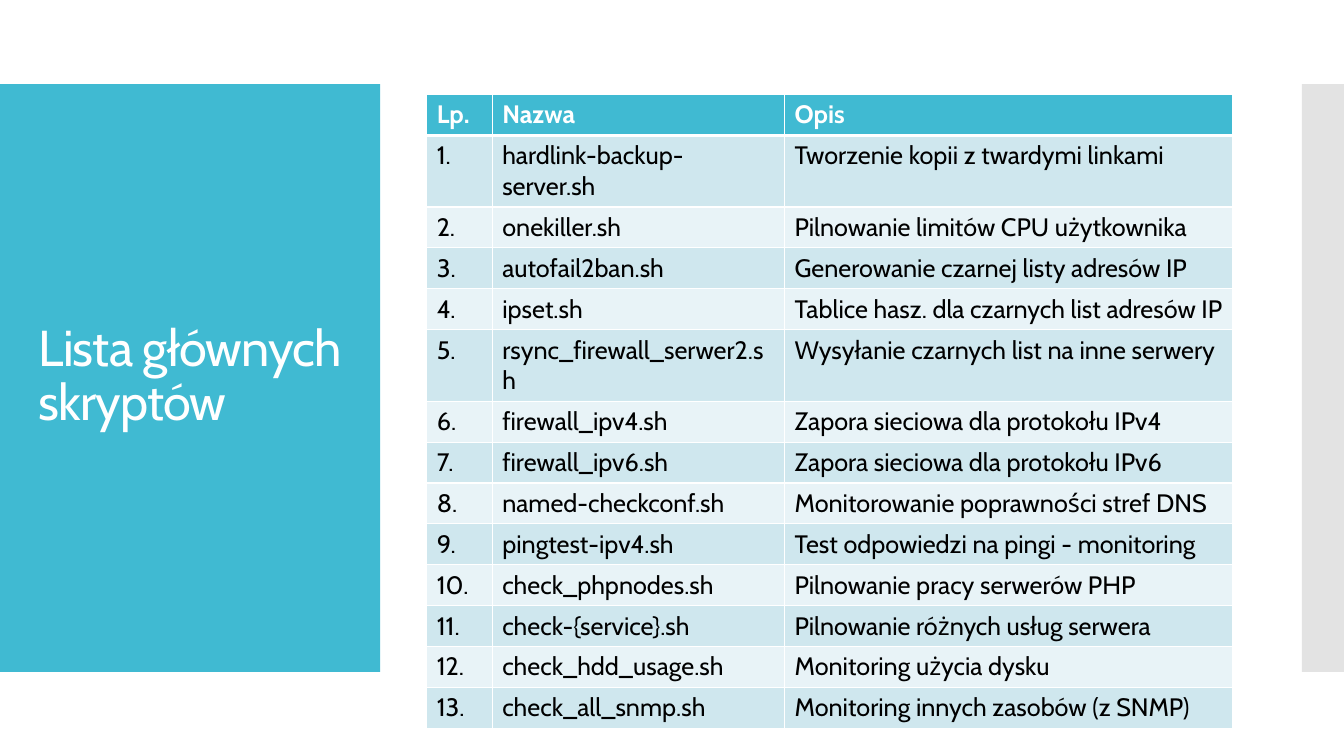
from lxml.etree import SubElement
from pptx import Presentation
from pptx.dml.color import RGBColor
from pptx.enum.shapes import MSO_SHAPE
from pptx.enum.text import MSO_ANCHOR, MSO_AUTO_SIZE, PP_ALIGN
from pptx.oxml.ns import qn
from pptx.util import Inches, Pt

COLORS = {
    "accent": "40BAD2", "side": "C8C8C8", "white": "FFFFFF", "black": "000000",
    "odd": "CFE7EE", "even": "E8F3F7",
}
FONT = "Cabin"
COLUMNS, ROWS = 32, 18
HEADER = ("Lp.", "Nazwa", "Opis")
SCRIPTS = [
    ("hardlink-backup-server.sh", "Tworzenie kopii z twardymi linkami"),
    ("onekiller.sh", "Pilnowanie limitów CPU użytkownika"),
    ("autofail2ban.sh", "Generowanie czarnej listy adresów IP"),
    ("ipset.sh", "Tablice hasz. dla czarnych list adresów IP"),
    ("rsync_firewall_serwer2.sh", "Wysyłanie czarnych list na inne serwery"),
    ("firewall_ipv4.sh", "Zapora sieciowa dla protokołu IPv4"),
    ("firewall_ipv6.sh", "Zapora sieciowa dla protokołu IPv6"),
    ("named-checkconf.sh", "Monitorowanie poprawności stref DNS"),
    ("pingtest-ipv4.sh", "Test odpowiedzi na pingi - monitoring"),
    ("check_phpnodes.sh", "Pilnowanie pracy serwerów PHP"),
    ("check-{service}.sh", "Pilnowanie różnych usług serwera"),
    ("check_hdd_usage.sh", "Monitoring użycia dysku"),
    ("check_all_snmp.sh", "Monitoring innych zasobów (z SNMP)"),
]


def rgb(name):
    return RGBColor.from_string(COLORS[name])


def set_borders(cell, widths):
    """Draw white cell borders; widths maps L, R, T and B to points."""
    properties = cell._tc.get_or_add_tcPr()
    for side, width in widths.items():
        line = SubElement(properties, qn(f"a:ln{side}"), w=str(Pt(width)))
        fill = SubElement(line, qn("a:solidFill"))
        SubElement(fill, qn("a:srgbClr"), val=COLORS["white"])


class SlideBuilder:
    """Places elements on a grid of COLUMNS by ROWS."""

    def __init__(self, presentation):
        self.slide = presentation.slides.add_slide(presentation.slide_layouts[5])
        self.column = presentation.slide_width / COLUMNS
        self.row = presentation.slide_height / ROWS

    def box(self, left, top, width, height):
        return (round(left * self.column), round(top * self.row),
                round(width * self.column), round(height * self.row))

    def style_run(self, paragraph, text, size, color, bold=False):
        run = paragraph.add_run()
        run.text = text
        formats = {"name": FONT, "size": Pt(size), "bold": bold}
        for attribute, value in formats.items():
            setattr(run.font, attribute, value)
        run.font.color.rgb = rgb(color)
        return run

    def panel(self, grid, color, opacity=100):
        shape = self.slide.shapes.add_shape(MSO_SHAPE.RECTANGLE, *self.box(*grid))
        shape.shadow.inherit = False
        shape.line.fill.background()
        shape.fill.solid()
        shape.fill.fore_color.rgb = rgb(color)
        if opacity < 100:
            color_element = shape.element.spPr.find(".//" + qn("a:srgbClr"))
            SubElement(color_element, qn("a:alpha"), val=str(opacity * 1000))

    def title(self, grid, text):
        """Fill the title placeholder and bring it in front of the panels."""
        title = self.slide.shapes.title
        title.left, title.top, title.width, title.height = self.box(*grid)
        title.element.getparent().append(title.element)
        formats = {"word_wrap": True, "auto_size": MSO_AUTO_SIZE.NONE,
                   "vertical_anchor": MSO_ANCHOR.MIDDLE}
        for attribute, value in formats.items():
            setattr(title.text_frame, attribute, value)
        paragraph = title.text_frame.paragraphs[0]
        paragraph.alignment = PP_ALIGN.LEFT
        paragraph.line_spacing = 0.9
        run = self.style_run(paragraph, text, 36, "white")
        run.font._element.set("spc", "-60")

    def table(self, grid, column_widths, records):
        frame = self.slide.shapes.add_table(
            len(records), len(column_widths), *self.box(*grid))
        table = frame.table
        for column, width in zip(table.columns, column_widths):
            column.width = round(width * self.column)
        for index, record in enumerate(records):
            is_header = index == 0
            fill = "accent" if is_header else "odd" if index % 2 else "even"
            borders = {"L": 1, "R": 1, "T": 3 if index == 1 else 1,
                       "B": 3 if is_header else 1}
            for cell, text in zip(table.rows[index].cells, record):
                set_borders(cell, borders)
                cell.fill.solid()
                cell.fill.fore_color.rgb = rgb(fill)
                self.style_run(cell.text_frame.paragraphs[0], text, 18,
                               "white" if is_header else "black", is_header)


def main():
    presentation = Presentation()
    presentation.slide_width = Inches(13.33)
    presentation.slide_height = Inches(7.5)
    builder = SlideBuilder(presentation)
    builder.panel((0, 2, 9.05, 14), "accent")
    builder.panel((31, 2, 1, 14), "side", opacity=50)
    builder.title((0.68, 2.95, 7.73, 12.07), "Lista głównych skryptów")
    numbered = [(f"{number}.", *script) for number, script in enumerate(SCRIPTS, 1)]
    builder.table((10.16, 2.25, 19.2, 13.63), (1.56, 6.96, 10.68),
                  [HEADER, *numbered])
    presentation.save("out.pptx")


if __name__ == "__main__":
    main()
